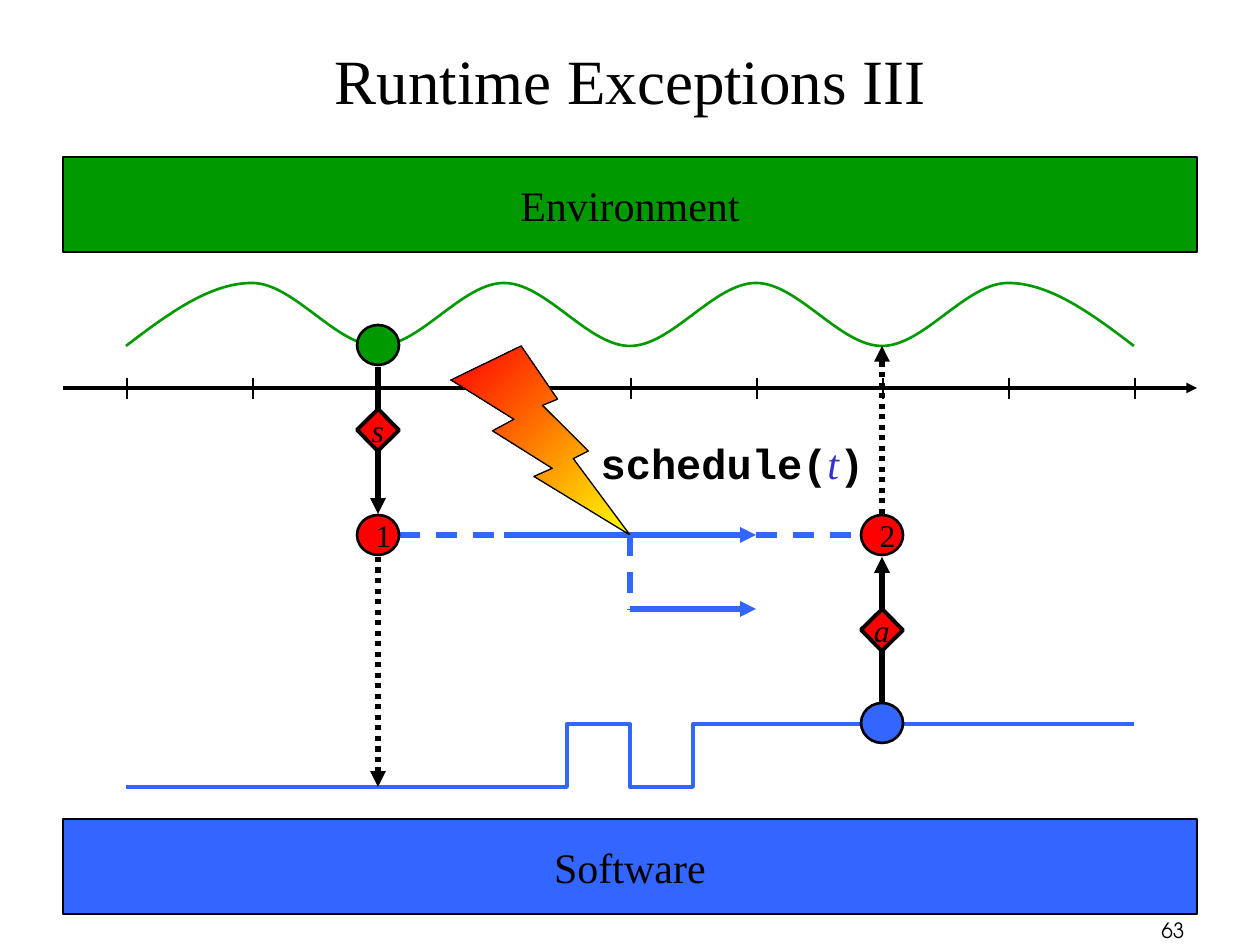
import pptx
import pptx.util
import pptx.dml.color
import pptx.enum.dml
import pptx.enum.shapes
import pptx.enum.text
import pptx.oxml
import pptx.oxml.ns

RGBColor = pptx.dml.color.RGBColor
SHAPE = pptx.enum.shapes.MSO_SHAPE
DASH = pptx.enum.dml.MSO_LINE
ALIGN = pptx.enum.text.PP_ALIGN
ANCHOR = pptx.enum.text.MSO_ANCHOR

BLACK = RGBColor(0x00, 0x00, 0x00)
GREEN = RGBColor(0x00, 0x99, 0x00)
BLUE = RGBColor(0x33, 0x66, 0xFF)
RED = RGBColor(0xFF, 0x00, 0x00)
YELLOW = RGBColor(0xFF, 0xFF, 0x00)
INDIGO = RGBColor(0x33, 0x33, 0xCC)

SERIF = "Times New Roman"
MONO = "Courier New"
SANS = "TeX Gyre Adventor"

UNIT = 126  # px per time step, one inch
SCALE = 914400 / UNIT
SENSE_X, ACT_X = 3 * UNIT, 7 * UNIT  # times of sensing and actuation
TASK_Y = 535


def px(length):
    return pptx.util.Emu(round(length * SCALE))


def set_outline(shape, color, width):
    shape.line.color.rgb = color
    shape.line.width = pptx.util.Pt(width)
    shape.shadow.inherit = False


def write(frame, runs, size, align, wrap=False, anchor=ANCHOR.MIDDLE):
    """Fill one paragraph; each run is (text, font, color, bold, italic)."""
    frame.word_wrap = wrap
    frame.vertical_anchor = anchor
    paragraph = frame.paragraphs[0]
    paragraph.alignment = align
    paragraph.font.size = pptx.util.Pt(size)
    for text, face, color, bold, italic in runs:
        run = paragraph.add_run()
        run.text = text
        run.font.name = face
        run.font.color.rgb = color
        run.font.bold = bold
        run.font.italic = italic


def add_text(slide, box, runs, size, align, wrap=True, anchor=ANCHOR.TOP):
    label = slide.shapes.add_textbox(*map(px, box))
    write(label.text_frame, runs, size, align, wrap, anchor)


def add_node(slide, kind, box, fill, width, text="", size=18,
             align=ALIGN.CENTER, italic=False):
    node = slide.shapes.add_shape(kind, *map(px, box))
    node.fill.solid()
    node.fill.fore_color.rgb = fill
    set_outline(node, BLACK, width)
    if text:
        write(node.text_frame, [(text, SERIF, BLACK, False, italic)], size, align)
    return node


def add_circle(slide, x, y, fill, text=""):
    add_node(slide, SHAPE.OVAL, (x - 21, y - 20, 42, 40), fill, 1.5, text,
             align=ALIGN.LEFT)


def add_diamond(slide, x, y, text):
    diamond = add_node(slide, SHAPE.DIAMOND, (x - 21, y - 21, 42, 42), RED, 2.25,
                       text, italic=True)
    diamond.rotation = 0.6


def add_line(slide, start, end, color=BLACK, width=3, dash=None, arrow=False):
    line = slide.shapes.add_connector(
        pptx.enum.shapes.MSO_CONNECTOR.STRAIGHT, *map(px, (*start, *end)))
    line.line.color.rgb = color
    line.line.width = pptx.util.Pt(width)
    if dash:
        line.line.dash_style = dash
    properties = line._element.spPr
    if arrow:
        outline = properties.find(pptx.oxml.ns.qn("a:ln"))
        pptx.oxml.ns.qn("a:tailEnd")
        outline.append(pptx.oxml.parse_xml(
            '<a:tailEnd %s type="triangle"/>' % pptx.oxml.ns.nsdecls("a")))
    properties.append(pptx.oxml.parse_xml(
        "<a:effectLst %s/>" % pptx.oxml.ns.nsdecls("a")))


def add_signal(slide, points, color, width):
    builder = slide.shapes.build_freeform(*points[0], scale=SCALE)
    builder.add_line_segments(points[1:], close=False)
    signal = builder.convert_to_shape()
    signal.fill.background()
    set_outline(signal, color, width)
    return signal


def bend(signal):
    """Turn every three line segments into one cubic curve."""
    qn = pptx.oxml.ns.qn
    outline = next(signal._element.iter(qn("a:path")))
    segments = outline.findall(qn("a:lnTo"))
    for i in range(0, len(segments), 3):
        curve = pptx.oxml.parse_xml(
            "<a:cubicBezTo %s/>" % pptx.oxml.ns.nsdecls("a"))
        segments[i].addprevious(curve)
        for segment in segments[i:i + 3]:
            curve.append(segment[0])
            outline.remove(segment)


def add_wave(slide, high, low):
    middle = (high + low) / 2
    levels = [high if n % 2 == 0 else low for n in range(1, 10)]
    points = [(UNIT, low)]
    for step in range(1, 9):
        x, before, after = step * UNIT, levels[step - 1], levels[step]
        # The two ends of the wave run out at a slope
        leave = middle if step == 1 else before
        arrive = middle if step == 8 else after
        points += [(x + UNIT / 3, leave), (x + UNIT * 2 / 3, arrive),
                   (x + UNIT, after)]
    bend(add_signal(slide, points, GREEN, 1.5))


def add_bolt(slide, box):
    bolt = slide.shapes.add_shape(SHAPE.LIGHTNING_BOLT, *map(px, box))
    bolt.fill.gradient()
    bolt.fill.gradient_angle = 135
    for stop, color, position in zip(bolt.fill.gradient_stops, (YELLOW, RED), (0, 1)):
        stop.color.rgb = color
        stop.position = position
    set_outline(bolt, BLACK, 0.75)


def main():
    deck = pptx.Presentation()
    deck.slide_width, deck.slide_height = px(1260), px(945)
    slide = deck.slides.add_slide(deck.slide_layouts[6])

    # Time axis
    add_line(slide, (63, 388), (1197, 388), width=2, arrow=True)
    for step in range(1, 10):
        x = step * UNIT + 1
        add_line(slide, (x, 378), (x, 399), width=1.5)

    # Environment and software bars
    for name, top, color in (("Environment", 157, GREEN), ("Software", 819, BLUE)):
        add_node(slide, SHAPE.RECTANGLE, (63, top, 1134, 95), color, 0.75, name, 24)

    # Environment signal, sensing and its effect
    add_wave(slide, 283, 346)
    add_line(slide, (SENSE_X, 367), (SENSE_X, 514), arrow=True)
    add_line(slide, (ACT_X, 514), (ACT_X, 346),
             dash=DASH.ROUND_DOT, arrow=True)
    add_circle(slide, SENSE_X, 345, GREEN)

    # Software signal
    low, high = 787, 724
    add_signal(slide, [(126, low), (567, low), (567, high), (630, high),
                       (630, low), (693, low), (693, high), (1134, high)], BLUE, 2.25)

    # Task between the two instants
    add_line(slide, (504, TASK_Y), (756, TASK_Y), BLUE, arrow=True)
    for start, end in ((399, 504), (756, 861)):
        add_line(slide, (start, TASK_Y), (end, TASK_Y), BLUE, dash=DASH.DASH)
    add_circle(slide, SENSE_X, TASK_Y, RED, "1")
    add_circle(slide, ACT_X, TASK_Y, RED, "2")
    add_circle(slide, ACT_X, 723, BLUE)
    add_line(slide, (ACT_X, 703), (ACT_X, 557), arrow=True)
    add_line(slide, (SENSE_X, 557), (SENSE_X, low),
             dash=DASH.ROUND_DOT, arrow=True)
    add_diamond(slide, SENSE_X, 430, "s")
    add_diamond(slide, ACT_X, 630, "a")

    # Exception and its handler
    add_bolt(slide, (451, 346, 179, 189))
    add_line(slide, (630, 609), (756, 609), BLUE, arrow=True)
    add_line(slide, (630, TASK_Y), (630, 609), BLUE, dash=DASH.DASH)
    add_text(slide, (588, 431, 289, 63),
             [("schedule(", MONO, BLACK, True, False),
              ("t", SERIF, INDIGO, False, True),
              (")", MONO, BLACK, True, False)], 24, ALIGN.CENTER, wrap=False)

    # Title and page number
    add_text(slide, (95, 0, 1071, 158),
             [("Runtime Exceptions III", SERIF, BLACK, False, False)],
             36, ALIGN.CENTER, anchor=ANCHOR.MIDDLE)
    add_text(slide, (935, 911, 262, 32),
             [("63", SANS, BLACK, False, False)], 12, ALIGN.RIGHT)

    deck.save("out.pptx")


if __name__ == "__main__":
    main()
